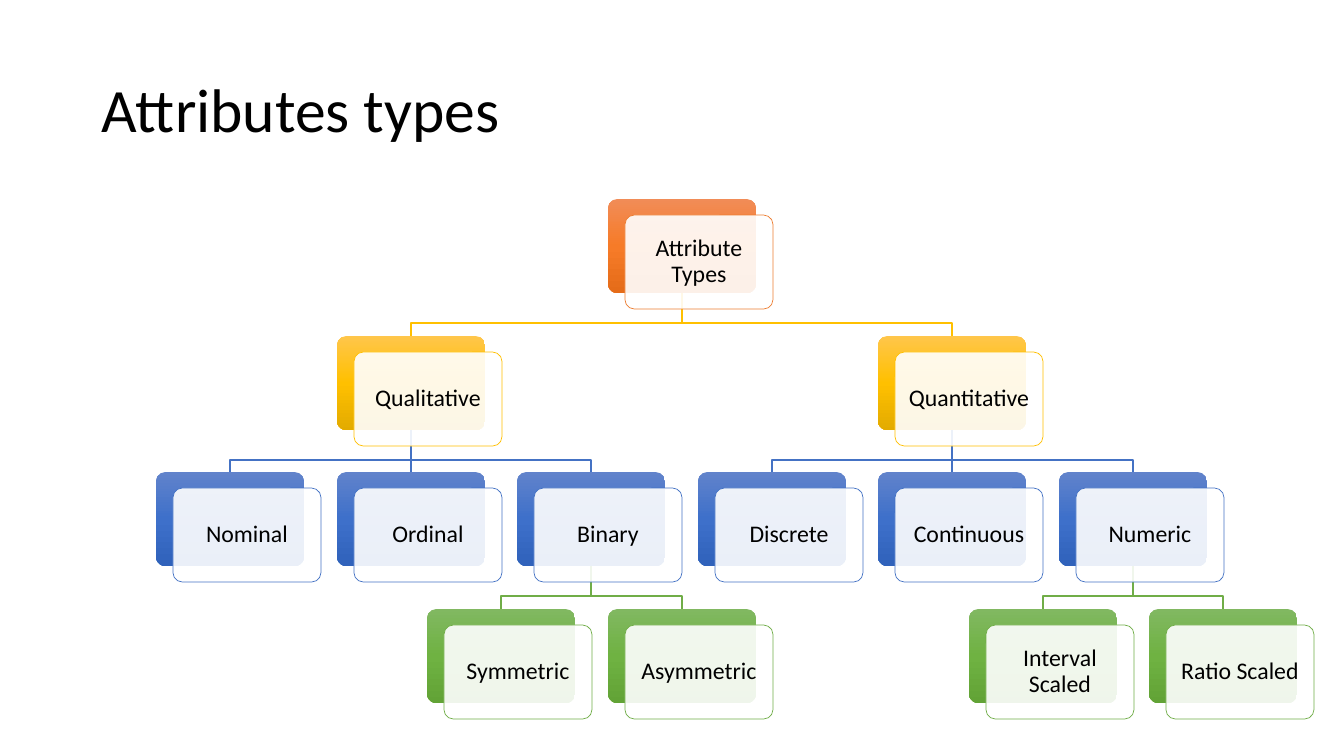
from copy import deepcopy

from lxml import etree
from pptx import Presentation
from pptx import util as u
from pptx.dml.color import RGBColor
from pptx.enum import shapes, text
from pptx.oxml import ns

SCALE = 12192000 / 1344
CARD_WIDTH, CARD_HEIGHT = 148, 94
FIRST_LEFT, FIRST_TOP = 156, 199
HALF_COLUMN, ROW = 90.3, 136.7
FRONT_X, FRONT_Y = 17, 16
BEND = 30

LEVELS = [
    ("ED7D31", ["F18C57", "F67B28", "E56C19"]),
    ("FFC000", ["FFC64B", "FFC000", "E3AB00"]),
    ("4472C4", ["6183CB", "3E70CA", "3062BB"]),
    ("70AD47", ["81B861", "6FB242", "62A336"]),
]
NODES = [
    ("Attribute Types", 0, 5, None),
    ("Qualitative", 1, 2, "Attribute Types"),
    ("Nominal", 2, 0, "Qualitative"),
    ("Ordinal", 2, 2, "Qualitative"),
    ("Binary", 2, 4, "Qualitative"),
    ("Symmetric", 3, 3, "Binary"),
    ("Asymmetric", 3, 5, "Binary"),
    ("Quantitative", 1, 8, "Attribute Types"),
    ("Discrete", 2, 6, "Quantitative"),
    ("Continuous", 2, 8, "Quantitative"),
    ("Numeric", 2, 10, "Quantitative"),
    ("Interval Scaled", 3, 9, "Numeric"),
    ("Ratio Scaled", 3, 11, "Numeric"),
]


def px(*lengths):
    return [u.Emu(round(length * SCALE)) for length in lengths]


def color(value):
    return RGBColor.from_string(value)


presentation = Presentation()
presentation.slide_width, presentation.slide_height = px(1344, 756)
slide = presentation.slides.add_slide(presentation.slide_layouts[6])

title = slide.shapes.add_textbox(*px(92, 40, 1159, 146))
title.text_frame.text = "Attributes types"
texts = [(title, 44, text.PP_ALIGN.LEFT)]

backs, places = {}, {}
for name, level, column, parent in NODES:
    left = FIRST_LEFT + round(HALF_COLUMN * column)
    top = FIRST_TOP + round(ROW * level)
    places[name] = left, top
    back = slide.shapes.add_shape(
        shapes.MSO_SHAPE.ROUNDED_RECTANGLE, *px(left, top, CARD_WIDTH, CARD_HEIGHT))
    back.adjustments[0] = 0.1
    back.shadow.inherit = False
    back.line.fill.background()
    back.fill.gradient()
    back.fill.gradient_angle = 270
    stops = back._element.spPr.find(ns.qn("a:gradFill")).find(ns.qn("a:gsLst"))
    stops.insert(1, deepcopy(stops[0]))
    for stop, position, value in zip(back.fill.gradient_stops, (0, 0.5, 1), LEVELS[level][1]):
        stop.position = position
        stop.color.rgb = color(value)
    backs[name] = back

for name, level, column, parent in NODES:
    if parent is None:
        continue
    start_x, start_y = places[parent][0] + CARD_WIDTH // 2, places[parent][1] + CARD_HEIGHT
    end_x, end_y = places[name][0] + CARD_WIDTH // 2, places[name][1]
    if start_x == end_x:
        branch = slide.shapes.add_connector(
            shapes.MSO_CONNECTOR.STRAIGHT, *px(start_x, start_y, end_x, end_y))
        branch.begin_connect(backs[parent], 2)
        branch.end_connect(backs[name], 0)
        etree.SubElement(branch._element.spPr, ns.qn("a:effectLst"))
    else:
        builder = slide.shapes.build_freeform(start_x, start_y, SCALE)
        bend_y = start_y + BEND
        builder.add_line_segments(
            [(start_x, bend_y), (end_x, bend_y), (end_x, end_y)], close=False)
        branch = builder.convert_to_shape()
        branch.fill.background()
        branch.shadow.inherit = False
    branch.line.color.rgb = color(LEVELS[level][0])
    branch.line.width = u.Pt(1)

for name, level, column, parent in NODES:
    left, top = places[name]
    front = slide.shapes.add_shape(
        shapes.MSO_SHAPE.ROUNDED_RECTANGLE,
        *px(left + FRONT_X, top + FRONT_Y, CARD_WIDTH, CARD_HEIGHT))
    front.adjustments[0] = 0.1
    front.shadow.inherit = False
    front.fill.solid()
    front.fill.fore_color.rgb = color("FFFFFF")
    white = front._element.spPr.find(ns.qn("a:solidFill"))[0]
    etree.SubElement(white, ns.qn("a:alpha"), val="90000")
    front.line.color.rgb = color(LEVELS[level][0])
    front.line.width = u.Pt(0.5)
    front.text_frame.text = name
    for side in ("left", "top", "right", "bottom"):
        setattr(front.text_frame, f"margin_{side}", px(7)[0])
    texts.append((front, 17, text.PP_ALIGN.CENTER))

for shape, size, alignment in texts:
    shape.text_frame.word_wrap = True
    shape.text_frame.vertical_anchor = text.MSO_ANCHOR.MIDDLE
    paragraph = shape.text_frame.paragraphs[0]
    for key, value in {"alignment": alignment, "line_spacing": 0.9}.items():
        setattr(paragraph, key, value)
    font = paragraph.runs[0].font
    for key, value in {"name": "Calibri", "size": u.Pt(size)}.items():
        setattr(font, key, value)
    font.color.rgb = color("000000")

presentation.save("out.pptx")
